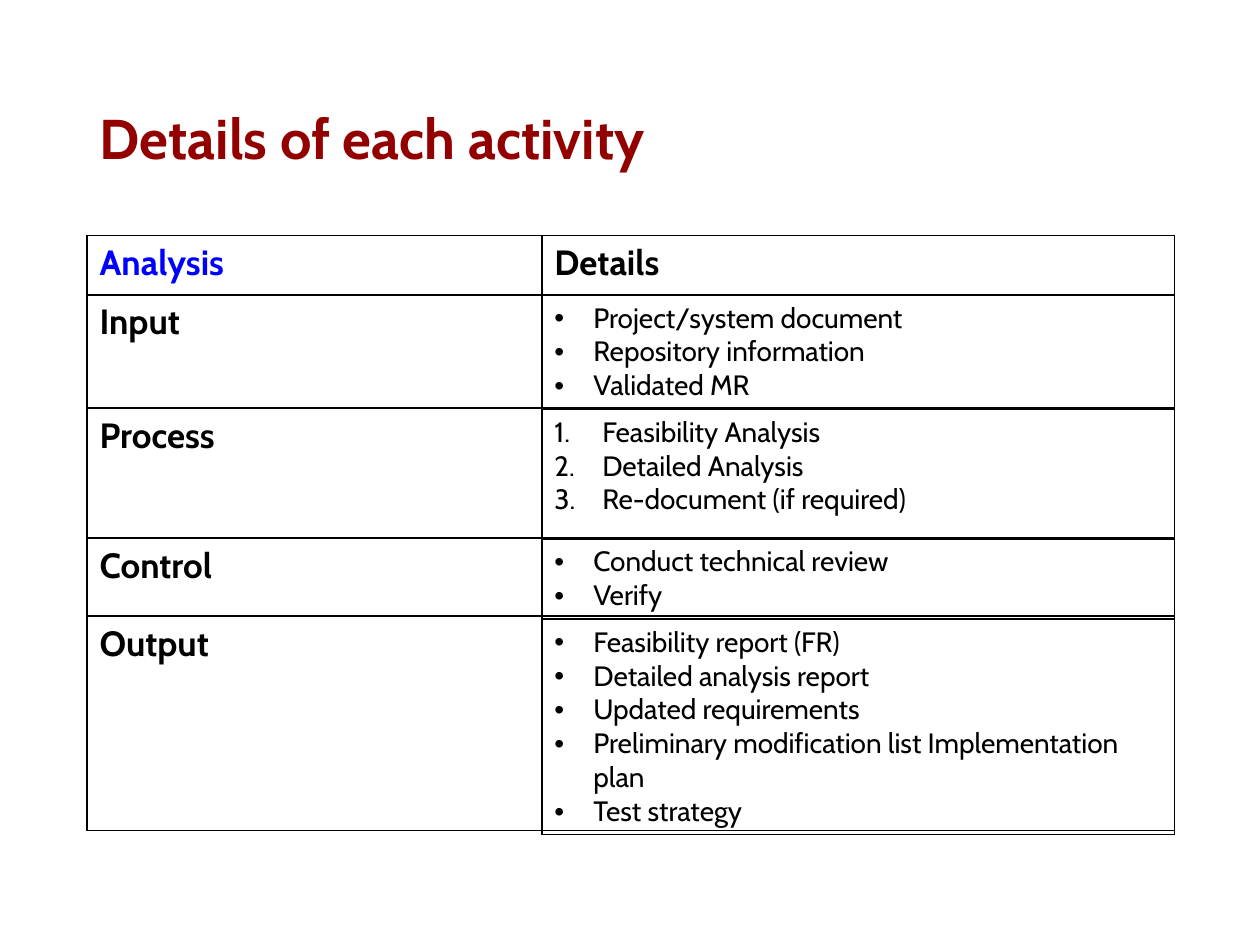
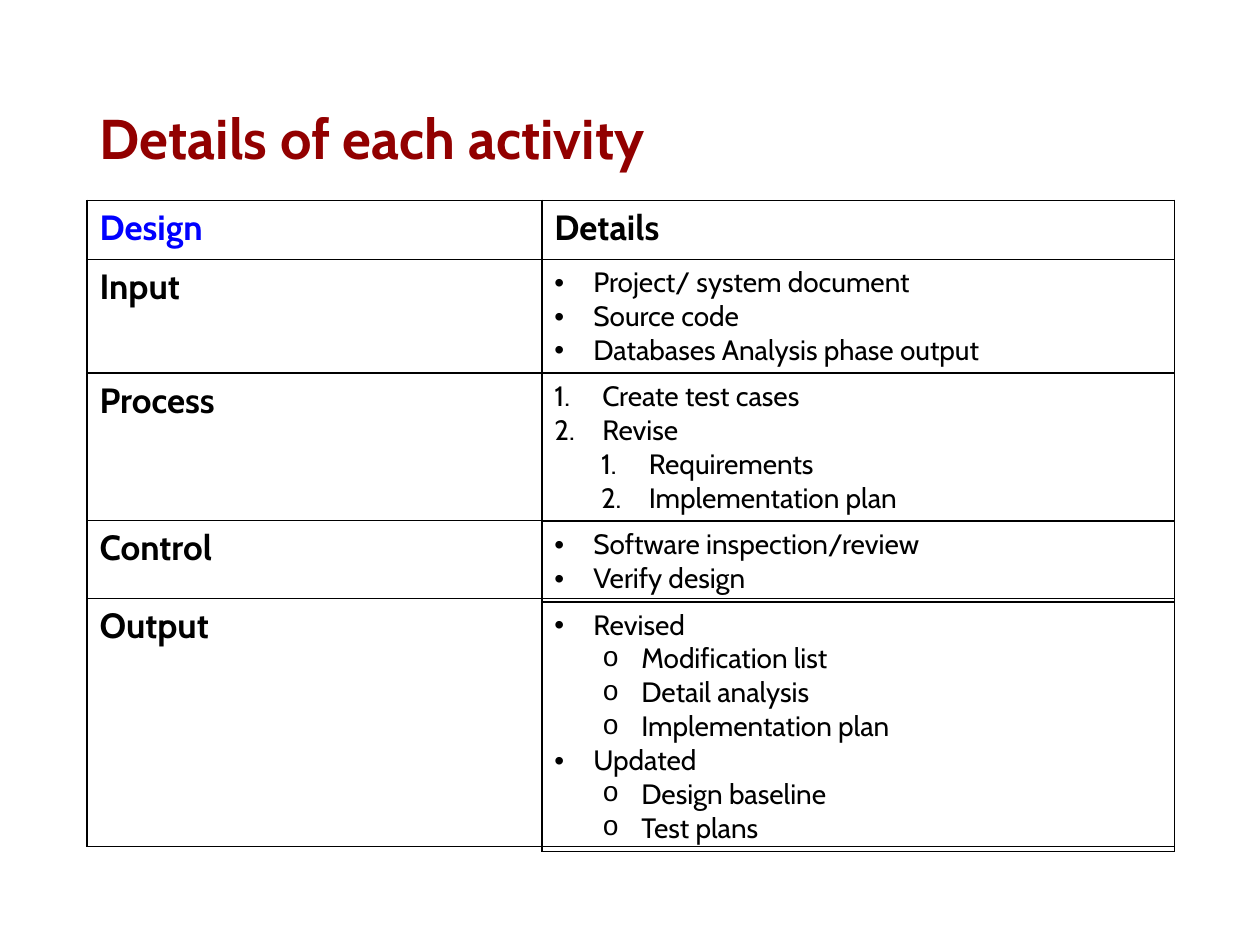
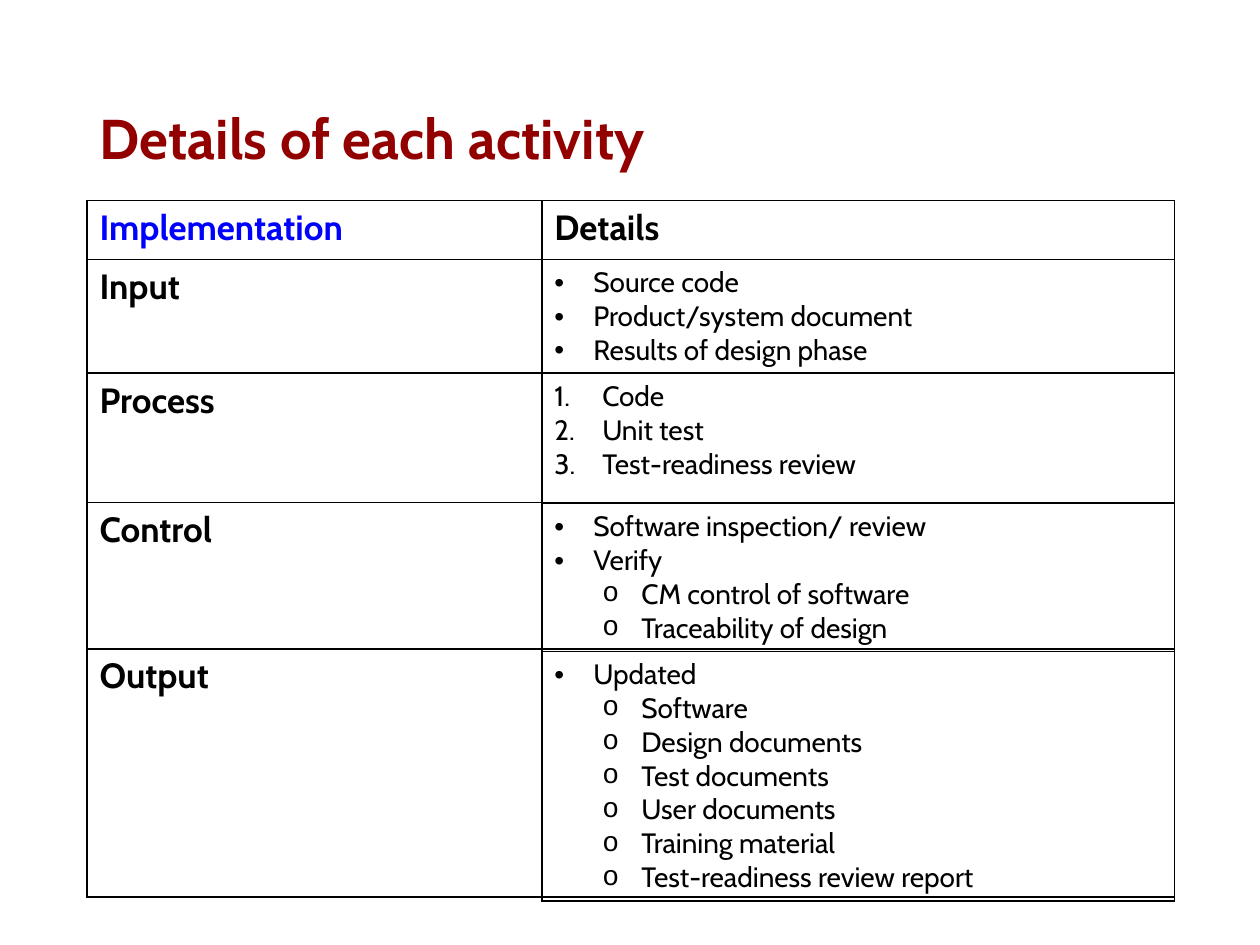
from collections import namedtuple

from lxml.etree import SubElement
from pptx import Presentation
from pptx.dml.color import RGBColor
from pptx.enum.text import MSO_ANCHOR, MSO_AUTO_SIZE, PP_ALIGN
from pptx.oxml.ns import qn
from pptx.util import Inches, Pt

FONT = "Cabin"
DARK_RED = RGBColor(0x92, 0x00, 0x00)
BLUE = RGBColor(0x00, 0x00, 0xFF)
BLACK = RGBColor(0x00, 0x00, 0x00)

TITLE = "Details of each activity"
MARGIN = 0.69
LABEL_WIDTH = 3.61
DETAIL_WIDTH = 5.02
HEADER_HEIGHT = 0.47
STAGES = ("Input", "Process", "Control", "Output")

ListStyle = namedtuple("ListStyle", "level left hanging symbol symbol_font")
BULLET = ListStyle(0, 0.31, 0.31, "•", "Arial")
CIRCLE = ListStyle(1, 0.69, 0.31, "o", "Courier New")
NUMBER = ListStyle(0, 0.38, 0.38, None, None)
SUBNUMBER = ListStyle(1, 0.75, 0.38, None, None)

Activity = namedtuple("Activity", "name top stage_heights details")
ACTIVITIES = (
    Activity("Analysis", 1.87, (0.9, 1.03, 0.62, 1.7), (
        ((BULLET, "Project/system document", "Repository information", "Validated MR"),),
        ((NUMBER, "Feasibility Analysis", "Detailed Analysis", "Re-document (if required)"),),
        ((BULLET, "Conduct technical review", "Verify"),),
        ((BULLET, "Feasibility report (FR)", "Detailed analysis report",
          "Updated requirements", "Preliminary modification list Implementation plan",
          "Test strategy"),),
    )),
    Activity("Design", 1.59, (0.9, 1.17, 0.62, 1.97), (
        ((BULLET, "Project/ system document", "Source code",
          "Databases Analysis phase output"),),
        ((NUMBER, "Create test cases", "Revise"),
         (SUBNUMBER, "Requirements", "Implementation plan")),
        ((BULLET, "Software inspection/review", "Verify design"),),
        ((BULLET, "Revised"),
         (CIRCLE, "Modification list", "Detail analysis", "Implementation plan"),
         (BULLET, "Updated"),
         (CIRCLE, "Design baseline", "Test plans")),
    )),
    Activity("Implementation", 1.59, (0.9, 1.03, 1.16, 1.97), (
        ((BULLET, "Source code", "Product/system document", "Results of design phase"),),
        ((NUMBER, "Code", "Unit test", "Test-readiness review"),),
        ((BULLET, "Software inspection/ review", "Verify"),
         (CIRCLE, "CM control of software", "Traceability of design")),
        ((BULLET, "Updated"),
         (CIRCLE, "Software", "Design documents", "Test documents", "User documents",
          "Training material", "Test-readiness review report")),
    )),
)


def format_paragraph(paragraph, size, color, bold=False):
    font = paragraph.font
    font.name = FONT
    font.size = Pt(size)
    font.bold = bold
    font.color.rgb = color


def add_title(slide):
    title = slide.shapes.title
    title.left, title.top = Inches(MARGIN), Inches(0.4)
    title.width, title.height = Inches(8.62), Inches(1.45)
    frame = title.text_frame
    frame.text = TITLE
    frame.word_wrap = True
    frame.auto_size = MSO_AUTO_SIZE.NONE
    frame.vertical_anchor = MSO_ANCHOR.MIDDLE
    paragraph = frame.paragraphs[0]
    paragraph.alignment = PP_ALIGN.LEFT
    paragraph.line_spacing = 0.9
    format_paragraph(paragraph, 32, DARK_RED, bold=True)


def outline_cell(cell):
    properties = cell._tc.get_or_add_tcPr()
    for side in ("a:lnL", "a:lnR", "a:lnT", "a:lnB"):
        line = SubElement(properties, qn(side), w=str(Pt(1)))
        fill = SubElement(line, qn("a:solidFill"))
        SubElement(fill, qn("a:srgbClr"), val=str(BLACK))
    cell.fill.background()


def add_outlined_table(slide, left, top, widths, heights):
    table = slide.shapes.add_table(
        len(heights), len(widths), Inches(left), Inches(top),
        Inches(sum(widths)), Inches(sum(heights))).table
    table.first_row = False
    table.horz_banding = False
    for column, width in zip(table.columns, widths):
        column.width = Inches(width)
    for row, height in zip(table.rows, heights):
        row.height = Inches(height)
    for cell in table.iter_cells():
        outline_cell(cell)
    return table


def write_label(cell, text, color=BLACK):
    cell.text = text
    format_paragraph(cell.text_frame.paragraphs[0], 20, color, bold=True)


def apply_list_style(paragraph, style):
    paragraph.level = style.level
    properties = paragraph._p.get_or_add_pPr()
    properties.set("marL", str(Inches(style.left)))
    properties.set("indent", str(-Inches(style.hanging)))
    if style.symbol:
        SubElement(properties, qn("a:buFont"), typeface=style.symbol_font)
        SubElement(properties, qn("a:buChar"), char=style.symbol)
    else:
        SubElement(properties, qn("a:buAutoNum"), type="arabicPeriod")


def write_list(cell, groups):
    items = [(style, text) for style, *texts in groups for text in texts]
    frame = cell.text_frame
    for index, (style, text) in enumerate(items):
        paragraph = frame.add_paragraph() if index else frame.paragraphs[0]
        paragraph.text = text
        apply_list_style(paragraph, style)
        format_paragraph(paragraph, 16, BLACK)


def add_stage_table(slide, activity):
    table = add_outlined_table(
        slide, MARGIN, activity.top, (LABEL_WIDTH, DETAIL_WIDTH),
        (HEADER_HEIGHT, *activity.stage_heights))
    write_label(table.cell(0, 0), activity.name, BLUE)
    write_label(table.cell(0, 1), "Details")
    for row, stage in enumerate(STAGES, start=1):
        write_label(table.cell(row, 0), stage)


def add_detail_table(slide, activity):
    table = add_outlined_table(
        slide, MARGIN + LABEL_WIDTH, activity.top + HEADER_HEIGHT,
        (DETAIL_WIDTH,), activity.stage_heights)
    for row, groups in enumerate(activity.details):
        write_list(table.cell(row, 0), groups)


def main():
    presentation = Presentation()
    presentation.slide_width = Inches(10)
    presentation.slide_height = Inches(7.5)
    for activity in ACTIVITIES:
        slide = presentation.slides.add_slide(presentation.slide_layouts[5])
        add_title(slide)
        add_stage_table(slide, activity)
        add_detail_table(slide, activity)
    presentation.save("out.pptx")


if __name__ == "__main__":
    main()
